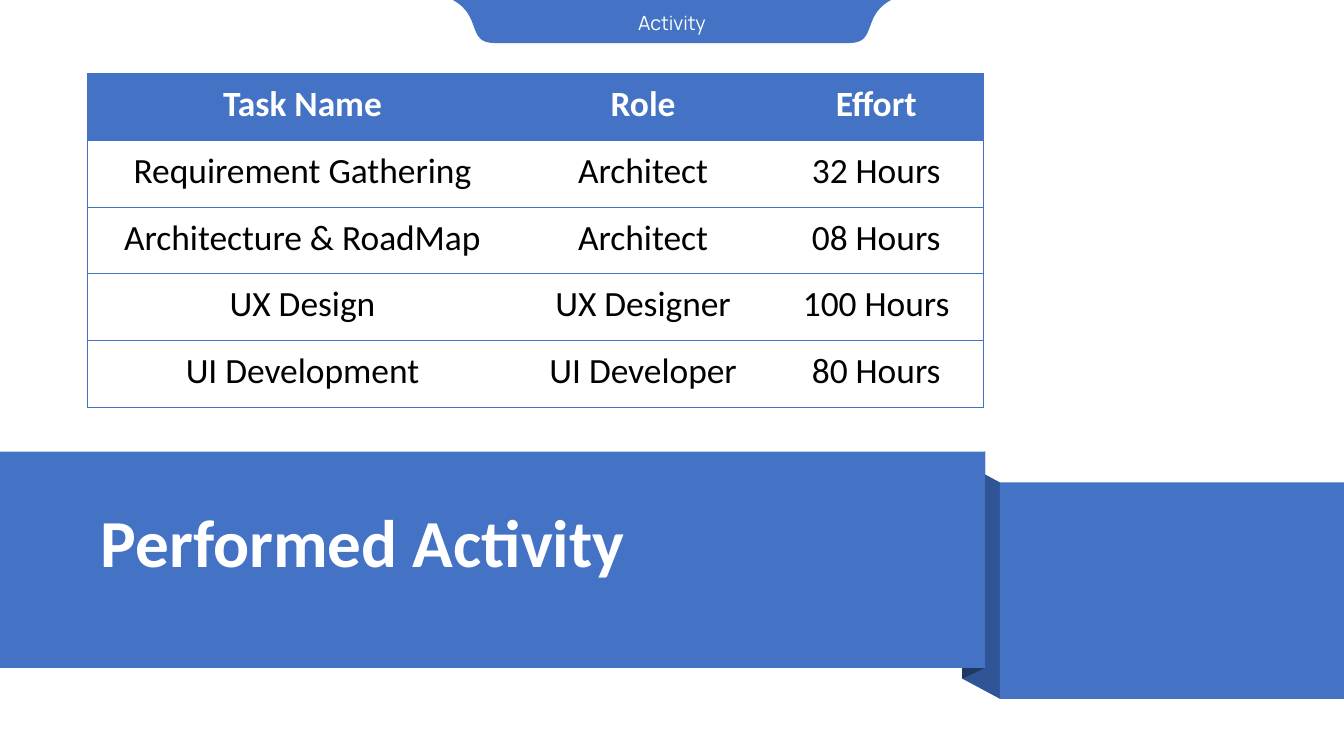
from lxml.etree import SubElement
from pptx import Presentation
from pptx.dml.color import RGBColor
from pptx.enum.shapes import MSO_SHAPE as Shape
from pptx.enum.text import MSO_ANCHOR as Anchor, MSO_AUTO_SIZE as AutoSize, PP_ALIGN as Align
from pptx.oxml.ns import qn
from pptx.util import Inches, Pt

WIDTH = 10
HEIGHT = WIDTH * 9 / 16
BLUE, SIDE, DARK, WHITE, BLACK = "4472C4", "2F5597", "203864", "FFFFFF", "000000"
ROWS = [
    ("Task Name", "Role", "Effort"),
    ("Requirement Gathering", "Architect", "32 Hours"),
    ("Architecture & RoadMap", "Architect", "08 Hours"),
    ("UX Design", "UX Designer", "100 Hours"),
    ("UI Development", "UI Developer", "80 Hours"),
]
COLUMN_SHARES = (0.48, 0.28, 0.24)


def color(value):
    return RGBColor.from_string(value)


def inches(*values):
    return [Inches(value) for value in values]


def paint(shape, fill):
    shape.shadow.inherit = False
    shape.fill.solid()
    shape.fill.fore_color.rgb = color(fill)
    shape.line.fill.background()


def add_block(page, box, fill):
    paint(page.shapes.add_shape(Shape.RECTANGLE, *inches(*box)), fill)


def add_outline(page, points, fill):
    first, *others = [inches(*point) for point in points]
    builder = page.shapes.build_freeform(*first)
    builder.add_line_segments(others, close=True)
    paint(builder.convert_to_shape(), fill)


def style_text(para, font_name, size, fill, bold=False, align=Align.CENTER):
    para.alignment = align
    for span in para.runs:
        span.font.name = font_name
        span.font.size = Pt(size)
        span.font.bold = bold
        span.font.color.rgb = color(fill)


def add_borders(cell, visible):
    properties = cell._tc.get_or_add_tcPr()
    for side in "LRTB":
        line = SubElement(properties, qn(f"a:ln{side}"), w=str(Pt(0.5)))
        if side in visible:
            fill = SubElement(line, qn("a:solidFill"))
            SubElement(fill, qn("a:srgbClr"), val=BLUE)
        else:
            SubElement(line, qn("a:noFill"))


def add_effort_table(page, box):
    table = page.shapes.add_table(len(ROWS), len(COLUMN_SHARES), *inches(*box)).table
    table.horz_banding = False
    for column, share in zip(table.columns, COLUMN_SHARES):
        column.width = Inches(box[2] * share)
    edges = {0: "LTB", len(COLUMN_SHARES) - 1: "RTB"}
    for row_index, texts in enumerate(ROWS):
        header = row_index == 0
        for column_index, text in enumerate(texts):
            cell = table.cell(row_index, column_index)
            cell.margin_left = cell.margin_right = Inches(0.14)
            cell.margin_top = cell.margin_bottom = Inches(0.07)
            cell.text_frame.text = text
            style_text(cell.text_frame.paragraphs[0], "Calibri", 19,
                       WHITE if header else BLACK, header)
            add_borders(cell, edges.get(column_index, "TB"))
            cell.fill.solid()
            cell.fill.fore_color.rgb = color(BLUE if header else WHITE)


def add_ribbon(page, box, front_width, drop, text):
    left, top, width, height = box
    bottom = top + height
    front_right = left + front_width
    fold_left, fold_right = front_right - 0.17, front_right + 0.11
    slope = 0.08
    add_outline(page, [(fold_right, bottom + drop), (fold_left, bottom + slope),
                       (fold_left, top + slope), (fold_right, top + drop)], SIDE)
    add_outline(page, [(front_right, bottom), (fold_left, bottom + slope),
                       (fold_left, top + slope), (front_right, top)], DARK)
    add_block(page, (left, top, front_width, height), BLUE)

    title = page.shapes.title
    page.shapes._spTree.append(title._element)
    title.left, title.top, title.width, title.height = inches(
        left + 0.65, top + 0.14, front_width - 0.79, 0.88)
    frame = title.text_frame
    frame.text = text
    frame.word_wrap = True
    frame.auto_size = AutoSize.NONE
    frame.vertical_anchor = Anchor.BOTTOM
    para = frame.paragraphs[0]
    para.line_spacing = 0.9
    para.space_after = Pt(6)
    style_text(para, "Calibri", 36, WHITE, True, Align.LEFT)

    add_block(page, (fold_right, top + drop, left + width - fold_right, height), BLUE)


def curve_points(start, pull_start, pull_end, end, steps=24):
    for step in range(steps + 1):
        t = step / steps
        weights = ((1 - t) ** 3, 3 * t * (1 - t) ** 2, 3 * t ** 2 * (1 - t), t ** 3)
        yield tuple(sum(weight * value for weight, value in zip(weights, values))
                    for values in zip(start, pull_start, pull_end, end))


def add_tab(page, box, text):
    left, top, width, height = box
    left_edge = list(curve_points((left, top), (left + 0.22, top + 0.12),
                                  (left + 0.1, top + height), (left + 0.31, top + height)))
    right_edge = [(2 * left + width - x, y) for x, y in reversed(left_edge)]
    add_outline(page, left_edge + right_edge, BLUE)

    label = page.shapes.add_textbox(*inches(left + 0.45, top + 0.08, width - 0.9, 0.18))
    frame = label.text_frame
    frame.word_wrap = True
    frame.auto_size = AutoSize.SHAPE_TO_FIT_TEXT
    frame.margin_left = frame.margin_right = frame.margin_top = frame.margin_bottom = 0
    frame.text = text
    style_text(frame.paragraphs[0], "Manrope", 10.5, WHITE)


def main():
    deck = Presentation()
    deck.slide_width, deck.slide_height = inches(WIDTH, HEIGHT)
    page = deck.slides.add_slide(deck.slide_layouts[5])
    add_block(page, (0, 0, WIDTH, HEIGHT), WHITE)
    add_ribbon(page, (0, 3.36, WIDTH, 1.61), 7.33, 0.23, "Performed Activity")
    add_effort_table(page, (0.65, 0.55, 6.67, 2.48))
    tab_width = 3.26
    add_tab(page, ((WIDTH - tab_width) / 2, 0, tab_width, 0.32), "Activity")
    deck.save("out.pptx")


if __name__ == "__main__":
    main()
